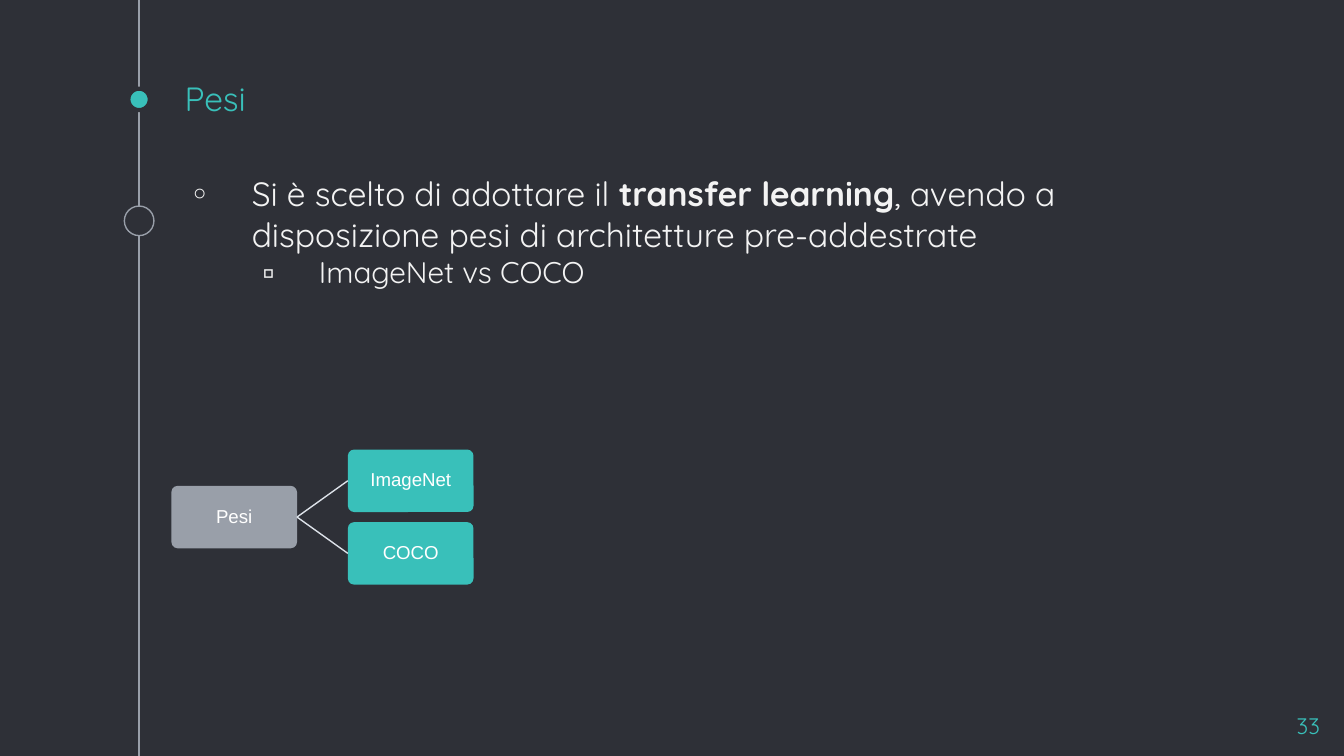
from dataclasses import dataclass

from lxml import etree
from pptx import Presentation
from pptx.dml.color import RGBColor
from pptx.enum.shapes import MSO_CONNECTOR, MSO_SHAPE
from pptx.enum.text import MSO_ANCHOR, PP_ALIGN
from pptx.oxml.ns import qn
from pptx.util import Inches, Pt

OVAL, ROUND = MSO_SHAPE.OVAL, MSO_SHAPE.ROUNDED_RECTANGLE
LINE = MSO_CONNECTOR.STRAIGHT
TOP, MIDDLE, BOTTOM = MSO_ANCHOR.TOP, MSO_ANCHOR.MIDDLE, MSO_ANCHOR.BOTTOM
LEFT, CENTER, RIGHT = PP_ALIGN.LEFT, PP_ALIGN.CENTER, PP_ALIGN.RIGHT
LEFT_SIDE, RIGHT_SIDE = 1, 3
CELL = 0.1
COLS, ROWS = 100, 56.25
RAIL, EDGE = 10.35, 12.75


@dataclass(frozen=True)
class Theme:
    back: str = "2E3037"
    teal: str = "39C0BA"
    gray: str = "999FA9"
    pale: str = "DDE2E9"
    text: str = "F3F3F3"
    white: str = "FFFFFF"
    font: str = "Quicksand"
    label: str = "Arial"
    large: float = 18
    medium: float = 16
    small: float = 12
    tiny: float = 10
    thin: float = 0.75
    thick: float = 2.25


@dataclass(frozen=True)
class Box:
    col: float
    row: float
    wide: float
    high: float

    def place(self) -> list[int]:
        return [grid(n) for n in (self.col, self.row, self.wide, self.high)]


@dataclass(frozen=True)
class Run:
    text: str
    size: float
    color: str
    font: str
    bold: bool = False


@dataclass(frozen=True)
class Bullet:
    mark: str
    level: int
    margin: float
    hang: float


@dataclass(frozen=True)
class Para:
    runs: list[Run]
    align: PP_ALIGN = LEFT
    bullet: Bullet | None = None
    space: float | None = None


@dataclass(frozen=True)
class Dot:
    row: float
    size: float
    fill: str
    edge: str
    width: float


@dataclass(frozen=True)
class Node:
    text: str
    level: int
    step: int
    fill: str


THEME = Theme()
TREE = Box(EDGE, 36.15, 9.35, 4.65)
LEVEL_GAP, STEP_GAP = 13.13, 2.7


def grid(cells: float) -> int:
    return Inches(cells * CELL)


def rgb(code: str) -> RGBColor:
    return RGBColor.from_string(code)


def add_mark(para, mark: Bullet) -> None:
    props = para._p.get_or_add_pPr()
    props.set("marL", str(grid(mark.margin)))
    props.set("indent", str(grid(-mark.hang)))
    para.level = mark.level
    tint = etree.SubElement(props, qn("a:buClr"))
    etree.SubElement(tint, qn("a:srgbClr")).set("val", THEME.text)
    etree.SubElement(props, qn("a:buFont")).set("typeface", THEME.font)
    etree.SubElement(props, qn("a:buChar")).set("char", mark.mark)


def write(frame, paras: list[Para], anchor: MSO_ANCHOR, inset: float) -> None:
    frame.word_wrap = True
    frame.vertical_anchor = anchor
    frame.margin_left = frame.margin_right = grid(inset)
    frame.margin_top = frame.margin_bottom = grid(inset)
    for i, item in enumerate(paras):
        para = frame.add_paragraph() if i else frame.paragraphs[0]
        if item.bullet:
            add_mark(para, item.bullet)
        para.alignment = item.align
        if item.space:
            para.line_spacing = item.space
        for part in item.runs:
            run = para.add_run()
            run.text = part.text
            run.font.name = part.font
            run.font.size = Pt(part.size)
            run.font.bold = part.bold
            run.font.color.rgb = rgb(part.color)


def add_text(slide, box: Box, paras: list[Para], anchor: MSO_ANCHOR = TOP) -> None:
    write(slide.shapes.add_textbox(*box.place()).text_frame, paras, anchor, 1)


def add_line(slide, ends: list[float], color: str):
    line = slide.shapes.add_connector(LINE, *[grid(n) for n in ends])
    line.line.color.rgb = rgb(color)
    line.line.width = Pt(THEME.thin)
    etree.SubElement(line._element.spPr, qn("a:effectLst"))
    return line


def add_dot(slide, dot: Dot) -> None:
    half = dot.size / 2
    box = Box(RAIL - half, dot.row - half, dot.size, dot.size)
    shape = slide.shapes.add_shape(OVAL, *box.place())
    shape.shadow.inherit = False
    shape.fill.solid()
    shape.fill.fore_color.rgb = rgb(dot.fill)
    shape.line.color.rgb = rgb(dot.edge)
    shape.line.width = Pt(dot.width)


def add_node(slide, node: Node):
    box = Box(TREE.col + node.level * LEVEL_GAP,
              TREE.row + node.step * STEP_GAP, TREE.wide, TREE.high)
    shape = slide.shapes.add_shape(ROUND, *box.place())
    shape.adjustments[0] = 0.1
    shape.shadow.inherit = False
    shape.fill.solid()
    shape.fill.fore_color.rgb = rgb(node.fill)
    shape.line.fill.background()
    run = Run(node.text, THEME.tiny, THEME.white, THEME.label)
    write(shape.text_frame, [Para([run], CENTER, space=0.9)], MIDDLE, 0.2)
    return shape


def add_tree(slide, root: Node, leaves: list[Node]) -> None:
    start = add_node(slide, root)
    for leaf in leaves:
        end = add_node(slide, leaf)
        link = add_line(slide, [0, 0, 0, 0], THEME.pale)
        link.begin_connect(start, RIGHT_SIDE)
        link.end_connect(end, LEFT_SIDE)


def main() -> None:
    deck = Presentation()
    deck.slide_width, deck.slide_height = grid(COLS), grid(ROWS)
    slide = deck.slides.add_slide(deck.slide_layouts[6])
    slide.background.fill.solid()
    slide.background.fill.fore_color.rgb = rgb(THEME.back)

    add_line(slide, [RAIL, 0, RAIL, ROWS], THEME.gray)
    add_dot(slide, Dot(7.4, 1.6, THEME.teal, THEME.back, THEME.thick))
    add_dot(slide, Dot(16.43, 2.2, THEME.back, THEME.gray, THEME.thin))

    title = Run("Pesi", THEME.large, THEME.teal, THEME.font)
    add_text(slide, Box(EDGE, 6, 75, 3.8), [Para([title])], BOTTOM)

    style = (THEME.large, THEME.text, THEME.font)
    choice = [
        Run("Si è scelto di adottare il ", *style),
        Run("transfer learning", *style, bold=True),
        Run(", avendo a disposizione pesi di architetture pre-addestrate", *style),
    ]
    detail = [Run("ImageNet vs COCO", THEME.medium, THEME.text, THEME.font)]
    add_text(slide, Box(EDGE, 11.9, 75, 40.7), [
        Para(choice, bullet=Bullet("◦", 0, 5, 4.6)),
        Para(detail, bullet=Bullet("▫", 1, 10, 4.2)),
    ])

    page = Run("33", THEME.small, THEME.teal, THEME.font)
    add_text(slide, Box(93.2, 52, 6, 3.4), [Para([page], RIGHT)])

    add_tree(slide, Node("Pesi", 0, 0, THEME.gray), [
        Node("ImageNet", 1, -1, THEME.teal),
        Node("COCO", 1, 1, THEME.teal),
    ])
    deck.save("out.pptx")


if __name__ == "__main__":
    main()
